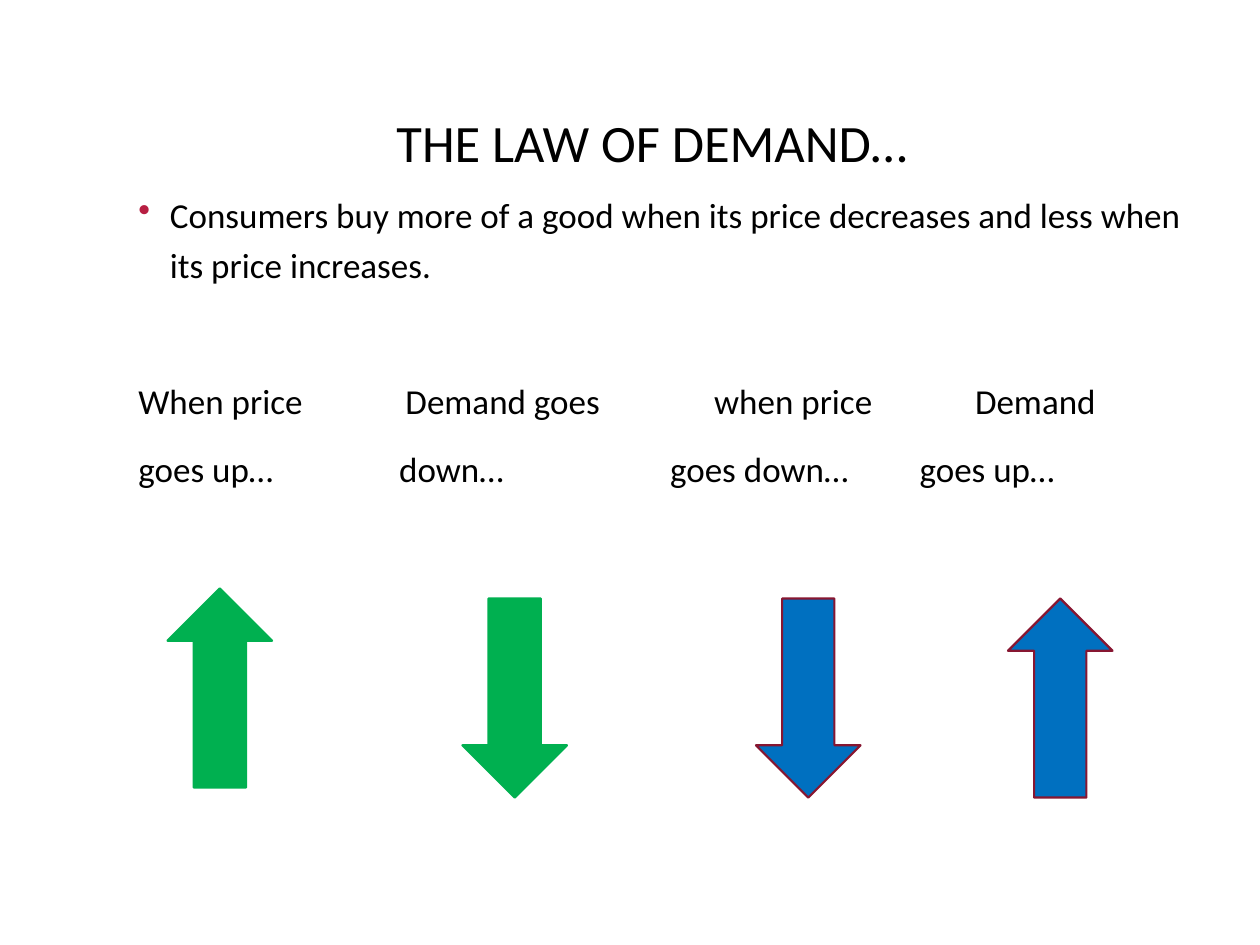
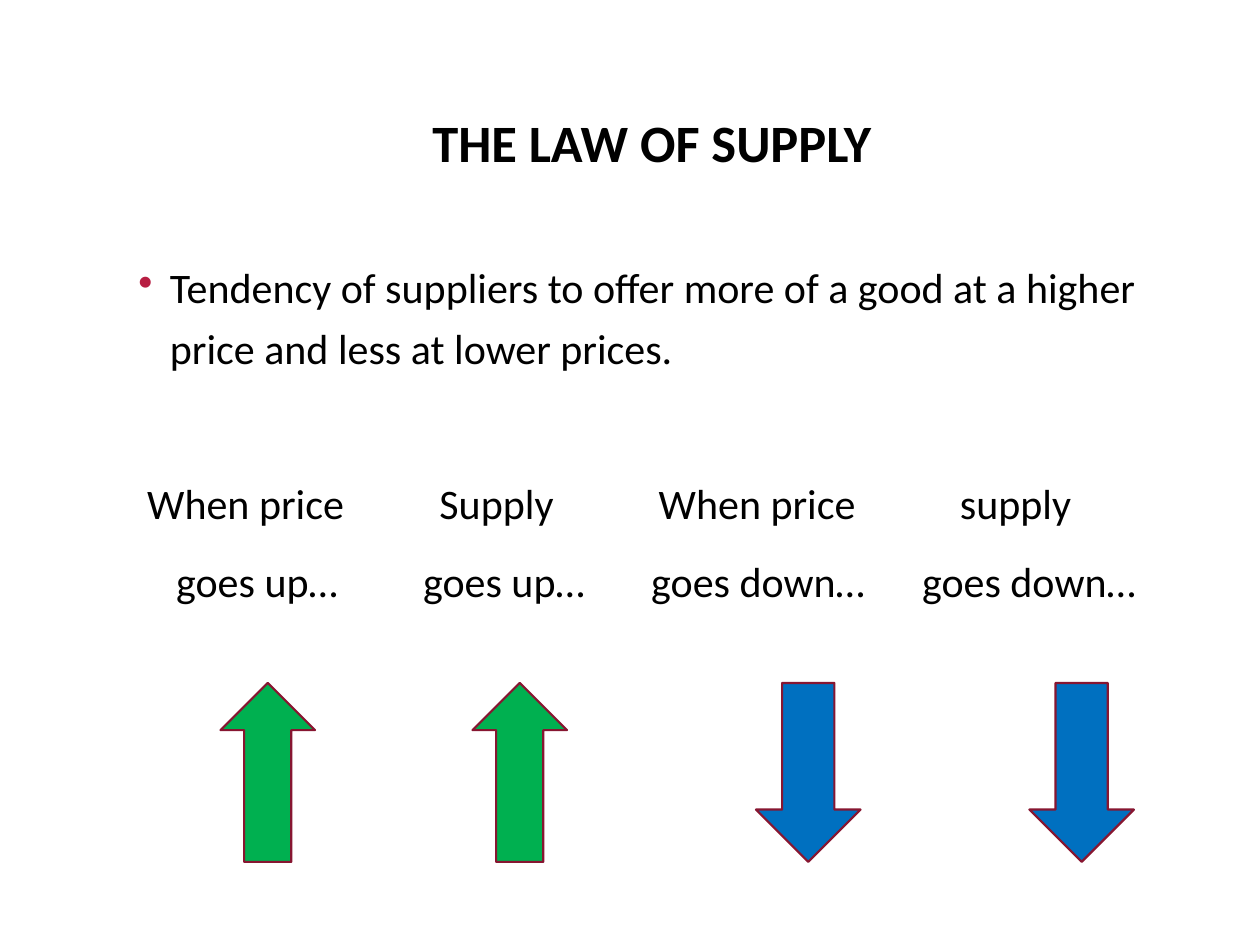
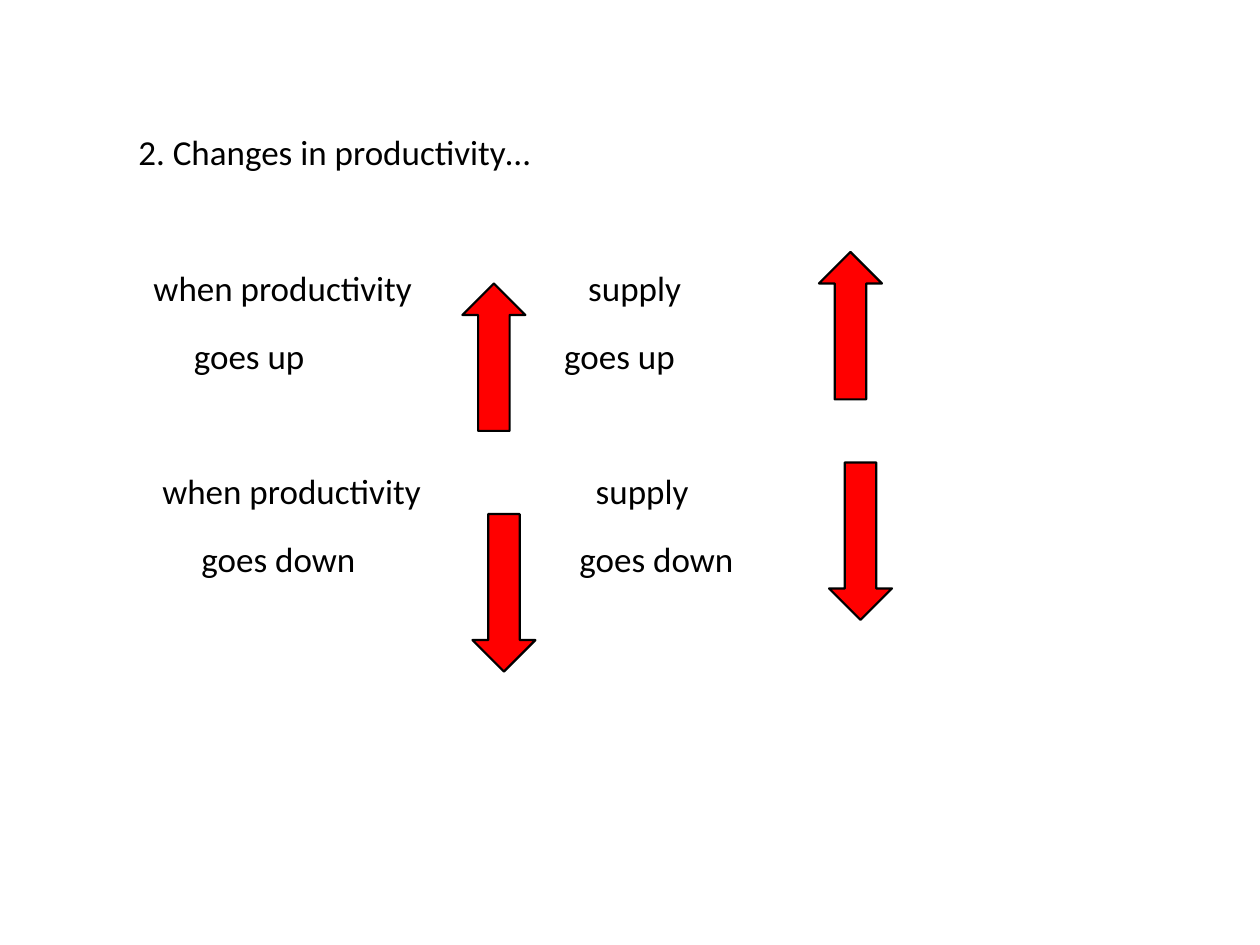
from lxml.etree import SubElement
from pptx import Presentation
from pptx.dml.color import RGBColor
from pptx.enum.shapes import MSO_SHAPE
from pptx.enum.text import MSO_ANCHOR, MSO_AUTO_SIZE, PP_ALIGN
from pptx.oxml.ns import qn
from pptx.util import Inches, Pt

BLACK = RGBColor(0x00, 0x00, 0x00)
GREEN = RGBColor(0x00, 0xB0, 0x50)
BLUE = RGBColor(0x00, 0x70, 0xC0)
RED = RGBColor(0xFF, 0x00, 0x00)
MAROON = RGBColor(0x87, 0x16, 0x31)
CRIMSON = RGBColor(0xB7, 0x1E, 0x42)

FONT = "Calibri"
TITLE_ONLY, BLANK = 5, 6
TITLE_BOX = (1.58, 0.88, 7.19, 1.15)
UP, DOWN = MSO_SHAPE.UP_ARROW, MSO_SHAPE.DOWN_ARROW
BODY_LEFT = 1
LABEL_WIDTH, LABEL_HEIGHT = 2.3, 1.1


def inches(box):
    return [Inches(length) for length in box]


def style_font(paragraph, size, bold=False):
    font = paragraph.font
    font.name, font.size, font.bold = FONT, Pt(size), bold
    font.color.rgb = BLACK


def add_title(slide, wording, bold):
    title = slide.shapes.title
    title.left, title.top, title.width, title.height = inches(TITLE_BOX)
    frame = title.text_frame
    frame.text = wording
    frame.auto_size = MSO_AUTO_SIZE.NONE
    frame.vertical_anchor = MSO_ANCHOR.TOP
    heading = frame.paragraphs[0]
    heading.alignment = PP_ALIGN.CENTER
    heading.line_spacing = 0.9
    style_font(heading, 30, bold)


def add_bullet(paragraph):
    properties = paragraph._p.get_or_add_pPr()
    properties.set("marL", str(Inches(0.25)))
    properties.set("indent", str(Inches(-0.25)))
    colour = SubElement(properties, qn("a:buClr"))
    SubElement(colour, qn("a:srgbClr"), val=str(CRIMSON))
    SubElement(properties, qn("a:buChar"), char="•")


def add_text(slide, box, lines, size, indents=None, bulleted=False):
    frame = slide.shapes.add_textbox(*inches(box)).text_frame
    frame.word_wrap = True
    frame.text = "\n".join(lines)
    for position, paragraph in enumerate(frame.paragraphs):
        if bulleted:
            add_bullet(paragraph)
        elif indents:
            margin = str(Inches(indents[position]))
            paragraph._p.get_or_add_pPr().set("marL", margin)
        paragraph.line_spacing = 1.2
        paragraph.space_before = Pt(10 if position else 0)
        style_font(paragraph, size)


def add_labels(slide, top, columns, size):
    """Place two-line labels; each line has its own offset from the body's left."""
    for lines, offsets in columns:
        start = min(offsets)
        add_text(slide, (BODY_LEFT + start, top, LABEL_WIDTH, LABEL_HEIGHT), lines,
                 size, indents=[offset - start for offset in offsets])


def add_arrow(slide, direction, box, fill, outline):
    arrow = slide.shapes.add_shape(direction, *inches(box))
    arrow.shadow.inherit = False
    arrow.fill.solid()
    arrow.fill.fore_color.rgb = fill
    arrow.line.color.rgb = outline
    arrow.line.width = Pt(1.25)


def add_law_slide(deck, title, bold, statement_box, statement, size,
                  labels_top, columns, arrows):
    slide = deck.slides.add_slide(deck.slide_layouts[TITLE_ONLY])
    add_title(slide, title, bold)
    add_text(slide, statement_box, [statement], size, bulleted=True)
    add_labels(slide, labels_top, columns, size)
    for arrow in arrows:
        add_arrow(slide, *arrow)


def add_productivity_slide(deck):
    slide = deck.slides.add_slide(deck.slide_layouts[BLANK])
    add_text(slide, (BODY_LEFT, 0.92, 8.5, 0.5), ["2. Changes in productivity…"], 20)
    add_labels(slide, 2, [(("when productivity", "goes up"), (0.12, 0.44)),
                          (("supply", "goes up"), (3.57, 3.38))], 20)
    add_labels(slide, 3.61, [(("when productivity", "goes down"), (0.19, 0.5)),
                             (("supply", "goes down"), (3.63, 3.5))], 20)
    for direction, left, top, height in [(UP, 3.67, 2.25, 1.17), (UP, 6.5, 2, 1.17),
                                         (DOWN, 3.75, 4.08, 1.25),
                                         (DOWN, 6.58, 3.67, 1.25)]:
        add_arrow(slide, direction, (left, top, 0.5, height), RED, BLACK)


def main():
    deck = Presentation()
    deck.slide_width, deck.slide_height = Inches(10), Inches(7.5)
    add_law_slide(
        deck, "THE LAW OF DEMAND…", False, (BODY_LEFT, 1.42, 8.5, 1),
        "Consumers buy more of a good when its price decreases "
        "and less when its price increases.",
        20, 2.9,
        [(("When price", "goes up…"), (0, 0)),
         (("Demand goes", "down…"), (2.12, 2.07)),
         (("when price", "goes down…"), (4.57, 4.22)),
         (("Demand", "goes up…"), (6.64, 6.2))],
        [(UP, (1.33, 4.67, 0.83, 1.58), GREEN, GREEN),
         (DOWN, (3.67, 4.75, 0.83, 1.58), GREEN, GREEN),
         (DOWN, (6, 4.75, 0.83, 1.58), BLUE, MAROON),
         (UP, (8, 4.75, 0.83, 1.58), BLUE, MAROON)])
    add_law_slide(
        deck, "THE LAW OF SUPPLY", True, (BODY_LEFT, 1.95, 8.75, 1.1),
        "Tendency of suppliers to offer more of a good at a higher price "
        "and less at lower prices.",
        24, 3.66,
        [(("When price", "goes up…"), (0.07, 0.3)),
         (("Supply", "goes up…"), (2.39, 2.26)),
         (("When price", "goes down…"), (4.13, 4.07)),
         (("supply", "goes down…"), (6.52, 6.22))],
        [(UP, (1.75, 5.42, 0.75, 1.42), GREEN, MAROON),
         (UP, (3.75, 5.42, 0.75, 1.42), GREEN, MAROON),
         (DOWN, (6, 5.42, 0.83, 1.42), BLUE, MAROON),
         (DOWN, (8.17, 5.42, 0.83, 1.42), BLUE, MAROON)])
    add_productivity_slide(deck)
    deck.save("out.pptx")


if __name__ == "__main__":
    main()
